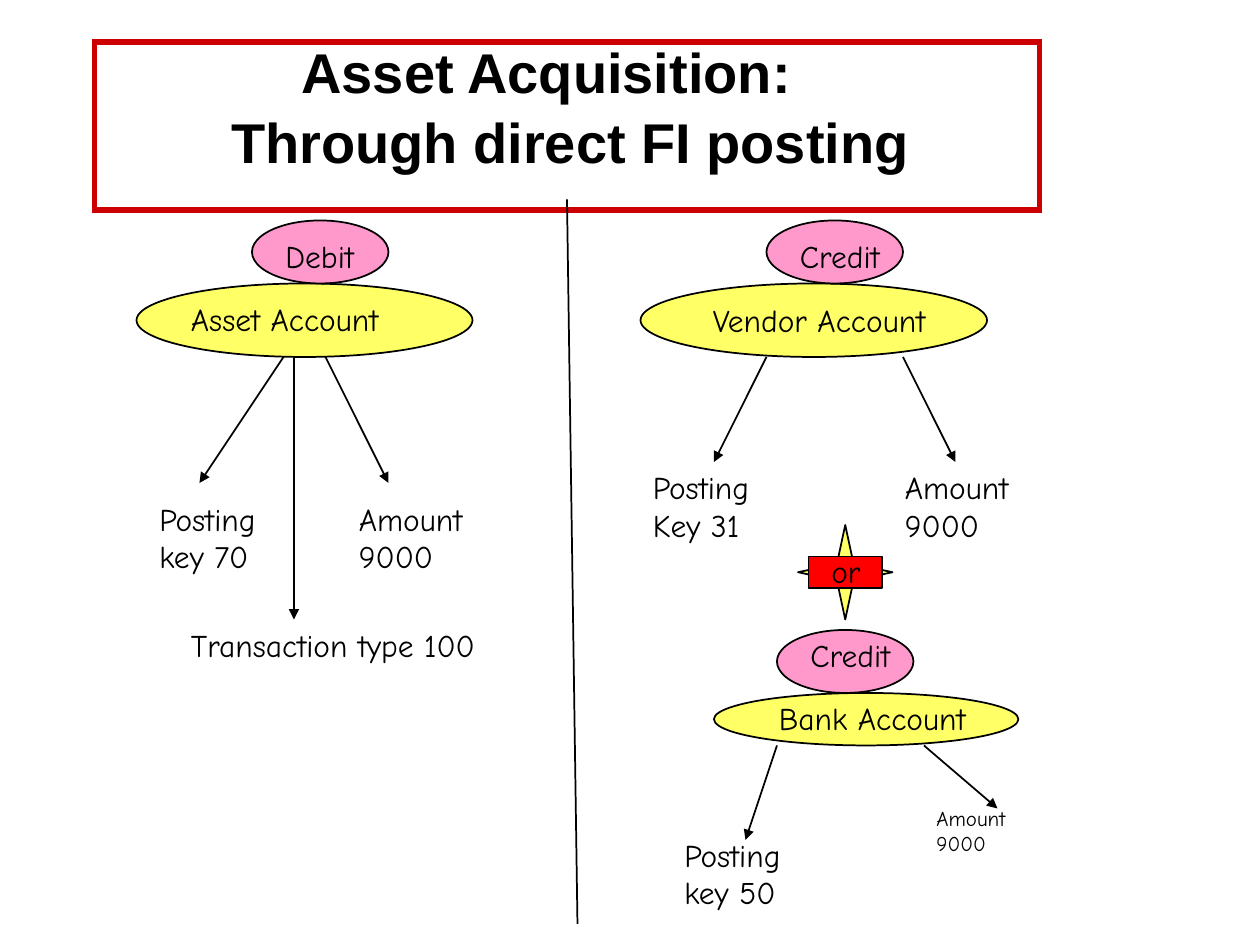
"""Build the asset acquisition slide: debit and credit postings side by side."""
from lxml import etree
from pptx import Presentation
from pptx.dml.color import RGBColor
from pptx.enum.shapes import MSO_CONNECTOR, MSO_SHAPE
from pptx.enum.text import MSO_ANCHOR, MSO_AUTO_SIZE, PP_ALIGN
from pptx.oxml.ns import qn
from pptx.util import Pt

PX = 7620
OVAL, STAR, RECTANGLE = MSO_SHAPE.OVAL, MSO_SHAPE.STAR_4_POINT, MSO_SHAPE.RECTANGLE
STRAIGHT = MSO_CONNECTOR.STRAIGHT
MIDDLE, CENTER = MSO_ANCHOR.MIDDLE, PP_ALIGN.CENTER
FIT_TEXT = MSO_AUTO_SIZE.SHAPE_TO_FIT_TEXT
BLACK, YELLOW, PINK, RED, DARK_RED = "000000", "FFFF66", "FF99CC", "FF0000", "CC0000"
BODY_FONT, TITLE_FONT = "Comic Neue", "Arial"


def color(hex_string):
    return RGBColor.from_string(hex_string)


def set_font(paragraph, name, size, bold=False):
    paragraph.font.name = name
    paragraph.font.size = Pt(size)
    paragraph.font.bold = bold
    paragraph.font.color.rgb = color(BLACK)


presentation = Presentation()
presentation.slide_width = 1200 * PX
presentation.slide_height = 900 * PX
slide = presentation.slides.add_slide(presentation.slide_layouts[6])

for kind, left, top, width, height, fill, text in [
    (RECTANGLE, 90, 40, 900, 160, None, None),
    (STAR, 760, 500, 90, 90, YELLOW, None),
    (OVAL, 610, 270, 330, 70, YELLOW, "Vendor Account"),
    (OVAL, 130, 270, 320, 70, YELLOW, None),
    (OVAL, 240, 210, 130, 60, PINK, None),
    (OVAL, 730, 210, 130, 60, PINK, None),
    (OVAL, 740, 600, 130, 60, PINK, None),
    (OVAL, 680, 660, 290, 50, YELLOW, None),
    (RECTANGLE, 770, 530, 70, 30, RED, None),
]:
    shape = slide.shapes.add_shape(kind, left * PX, top * PX, width * PX, height * PX)
    shape.shadow.inherit = False
    shape.line.color.rgb = color(BLACK if fill else DARK_RED)
    shape.line.width = Pt(1 if fill else 3)
    if fill:
        shape.fill.solid()
        shape.fill.fore_color.rgb = color(fill)
    else:
        shape.fill.background()
        etree.SubElement(shape.line._get_or_add_ln(), qn("a:miter"), lim="800000")
    if kind == STAR:
        shape.adjustments[0] = 0.125
    if text:
        shape.text_frame.word_wrap = False
        shape.text_frame.vertical_anchor = MIDDLE
        shape.text_frame.margin_left = 22 * PX
        paragraph = shape.text_frame.paragraphs[0]
        paragraph.text = text
        paragraph.alignment = CENTER
        set_font(paragraph, BODY_FONT, 18)

for start_x, start_y, end_x, end_y, has_arrow in [
    (270, 340, 190, 460, True),
    (280, 340, 280, 590, True),
    (310, 340, 370, 460, True),
    (730, 340, 680, 440, True),
    (860, 340, 910, 440, True),
    (740, 710, 710, 800, True),
    (880, 710, 950, 770, True),
    (540, 190, 550, 880, False),
]:
    connector = slide.shapes.add_connector(
        STRAIGHT, start_x * PX, start_y * PX, end_x * PX, end_y * PX
    )
    connector.line.color.rgb = color(BLACK)
    connector.line.width = Pt(1)
    if has_arrow:
        line = connector.line._get_or_add_ln()
        etree.SubElement(line, qn("a:tailEnd"), type="triangle")
    etree.SubElement(connector._element.spPr, qn("a:effectLst"))

for text, left, top, width, height, size in [
    ("Debit", 260, 220, 110, 48, 18),
    ("Asset Account", 170, 280, 260, 48, 18),
    ("Posting key 70", 140, 470, 140, 84, 18),
    ("Amount 9000", 330, 470, 140, 84, 18),
    ("Transaction type 100", 170, 590, 320, 48, 18),
    ("Credit", 750, 220, 140, 48, 18),
    ("Posting Key 31", 610, 440, 140, 84, 18),
    ("Amount 9000", 850, 440, 140, 84, 18),
    ("or", 780, 520, 60, 48, 18),
    ("Credit", 760, 600, 140, 48, 18),
    ("Bank Account", 730, 660, 250, 48, 18),
    ("Posting key 50", 640, 790, 130, 84, 18),
    ("Amount 9000", 880, 761, 140, 60, 12),
]:
    label = slide.shapes.add_textbox(left * PX, top * PX, width * PX, height * PX)
    label.text_frame.word_wrap = True
    label.text_frame.auto_size = FIT_TEXT
    paragraph = label.text_frame.paragraphs[0]
    paragraph.text = text
    set_font(paragraph, BODY_FONT, size)

title = slide.shapes.add_textbox(220 * PX, 36 * PX, 820 * PX, 150 * PX)
title_frame = title.text_frame
title_frame.word_wrap = True
title_frame.margin_left = title_frame.margin_right = 0
title_frame.margin_top = title_frame.margin_bottom = 0
first_line = title_frame.paragraphs[0]
first_line.text = "Asset Acquisition:"
first_line._p.get_or_add_pPr().set("indent", str(67 * PX))
second_line = title_frame.add_paragraph()
second_line.text = "Through direct FI posting"
second_line.space_before = Pt(1.5)
for paragraph in title_frame.paragraphs:
    set_font(paragraph, TITLE_FONT, 32, bold=True)

presentation.save("out.pptx")
